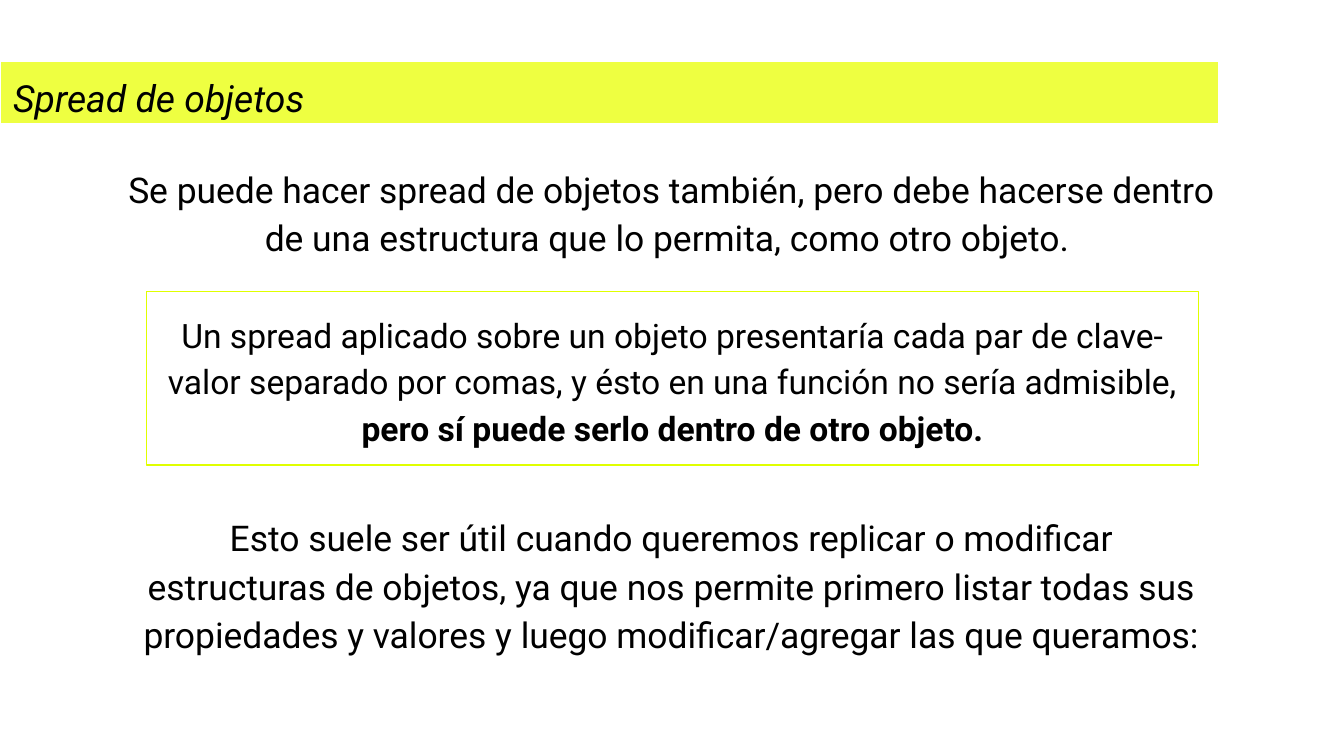
import pptx
import pptx.util
import pptx.dml.color
import pptx.enum.shapes
import pptx.enum.text

RGBColor = pptx.dml.color.RGBColor
Inches = pptx.util.Inches
Pt = pptx.util.Pt
ALIGN = pptx.enum.text.PP_ALIGN
ANCHOR = pptx.enum.text.MSO_ANCHOR

BLACK = RGBColor(0x00, 0x00, 0x00)
WHITE = RGBColor(0xFF, 0xFF, 0xFF)
LIME = RGBColor(0xEE, 0xFF, 0x41)
FRAME = RGBColor(0xE0, 0xFF, 0x00)

FONT = "Roboto"
INSET = 0.1
TITLE = [("Spread de objetos", {"italic": True})]
INTRO = [("Se puede hacer spread de objetos también, pero debe hacerse dentro "
          "de una estructura que lo permita, como otro objeto. ", {})]
NOTE = [
    ("Un spread aplicado sobre un objeto presentaría cada par de clave-valor "
     "separado por comas, y ésto en una función no sería admisible, ", {}),
    ("pero sí puede serlo dentro de otro objeto.", {"bold": True}),
]
USAGE = [("Esto suele ser útil cuando queremos replicar o modificar estructuras "
          "de objetos, ya que nos permite primero listar todas sus propiedades y "
          "valores y luego modificar/agregar las que queramos:", {})]


def write(sp, runs, size, align=ALIGN.CENTER, spacing=1.15, anchor=ANCHOR.TOP):
    tf = sp.text_frame
    tf.word_wrap = True
    tf.vertical_anchor = anchor
    tf.margin_left = tf.margin_right = Inches(INSET)
    tf.margin_top = tf.margin_bottom = Inches(INSET)
    p = tf.paragraphs[0]
    p.alignment = align
    p.line_spacing = spacing
    for text, style in runs:
        r = p.add_run()
        r.text = text
        r.font.name = FONT
        r.font.size = Pt(size)
        r.font.color.rgb = BLACK
        for name, value in style.items():
            setattr(r.font, name, value)


def add_box(s, box, line, fill=None):
    sp = s.shapes.add_shape(pptx.enum.shapes.MSO_SHAPE.RECTANGLE, *map(Inches, box))
    sp.shadow.inherit = False
    if fill is None:
        sp.fill.background()
    else:
        sp.fill.solid()
        sp.fill.fore_color.rgb = fill
    sp.line.color.rgb = line
    sp.line.width = Pt(0.75)
    return sp


def main():
    prs = pptx.Presentation()
    prs.slide_width = Inches(10)
    prs.slide_height = prs.slide_width * 9 // 16
    s = prs.slides.add_slide(prs.slide_layouts[6])

    banner = add_box(s, (0, 0.46, 9.07, 0.46), WHITE, LIME)
    write(banner, TITLE, 20, ALIGN.LEFT, 1.0)

    intro = s.shapes.add_textbox(*map(Inches, (0.82, 1.1, 8.35, 0.96)))
    write(intro, INTRO, 19)

    note = add_box(s, (1.09, 2.17, 7.83, 1.29), FRAME)
    write(note, NOTE, 18, anchor=ANCHOR.MIDDLE)

    usage = s.shapes.add_textbox(*map(Inches, (0.93, 3.69, 8.13, 1.29)))
    write(usage, USAGE, 19)

    prs.save("out.pptx")


if __name__ == "__main__":
    main()
